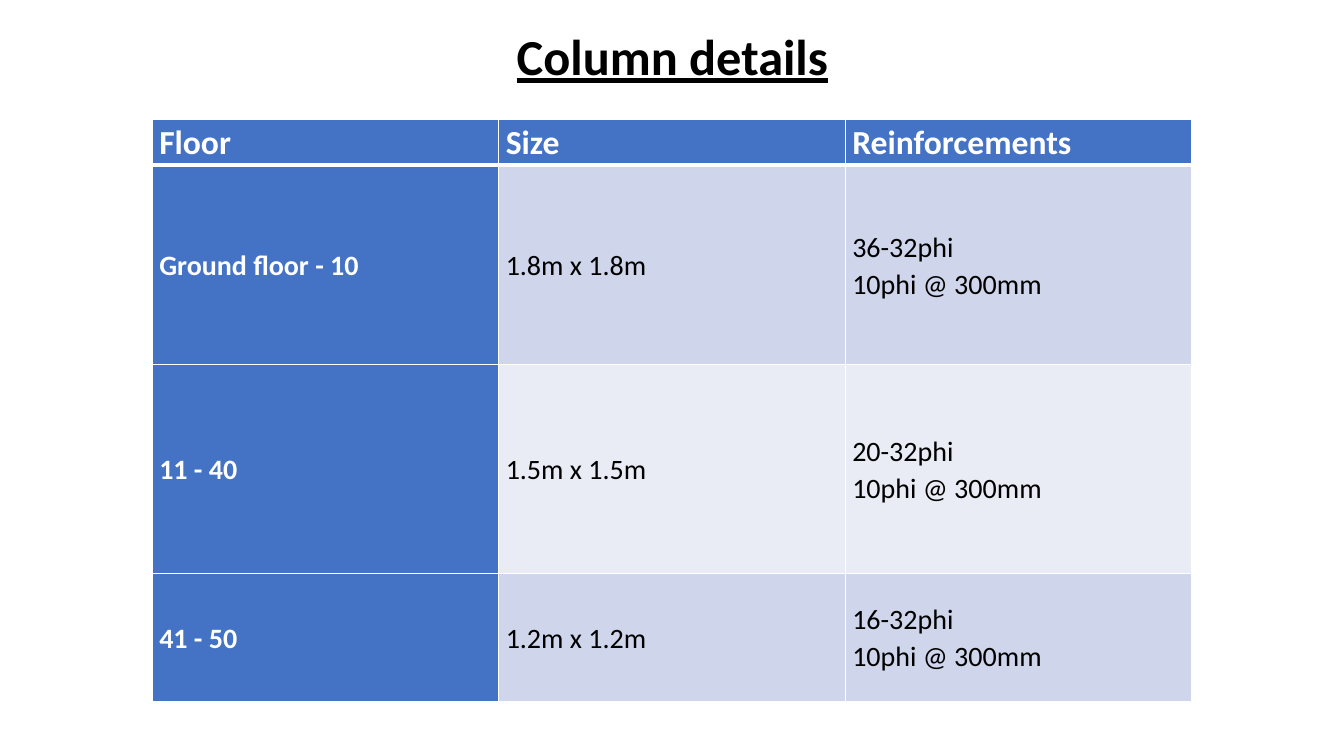
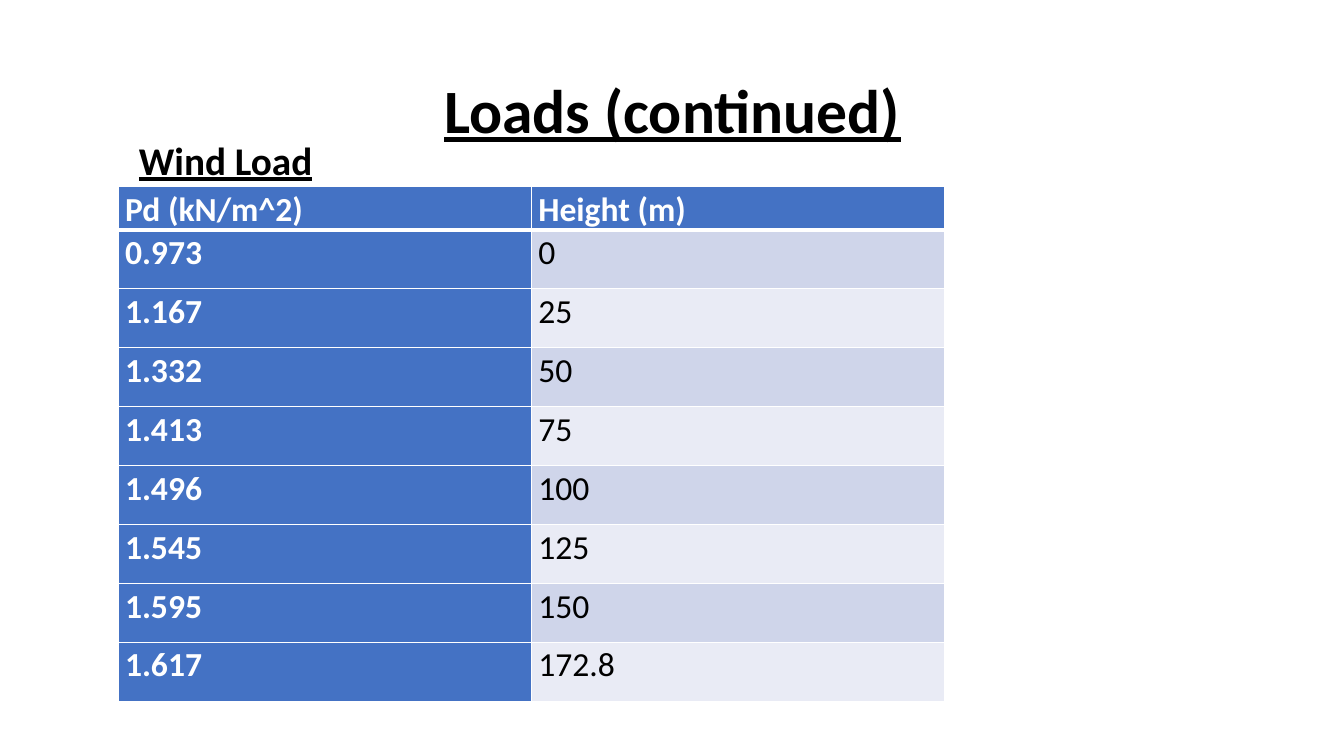
from dataclasses import dataclass

from lxml.etree import SubElement
from pptx import Presentation
from pptx.dml.color import RGBColor
from pptx.enum.text import MSO_ANCHOR as Anchor, MSO_AUTO_SIZE as AutoSize, PP_ALIGN as Align
from pptx.oxml.ns import qn
from pptx.slide import Slide
from pptx.table import _Cell as Cell
from pptx.text.text import _Paragraph as Paragraph
from pptx.util import Inches, Pt

FONT = "Calibri"
COLORS = {
    "accent": "4472C4",
    "band_dark": "CFD5EA",
    "band_light": "E9EBF5",
    "white": "FFFFFF",
    "black": "000000",
}
HEADER_SIZE = 24
THIN, THICK = 1, 3


@dataclass(frozen=True)
class Heading:
    text: str
    left: float
    top: float
    width: float
    height: float
    size: int
    is_title: bool = True


@dataclass(frozen=True)
class Grid:
    left: float
    top: float
    width: float
    row_heights: list[float]
    rows: list[tuple[str, ...]]
    body_size: int
    anchor: Anchor


@dataclass(frozen=True)
class Page:
    headings: list[Heading]
    grid: Grid


PAGES = [
    Page(
        [Heading("Column details", 0.92, 0.02, 11.5, 1.14, 36)],
        Grid(
            1.51, 1.18, 10.31, [0.46, 1.98, 2.07, 1.27],
            [
                ("Floor", "Size", "Reinforcements"),
                ("Ground floor - 10", "1.8m x 1.8m", "36-32phi\n10phi @ 300mm"),
                ("11 - 40", "1.5m x 1.5m", "20-32phi\n10phi @ 300mm"),
                ("41 - 50", "1.2m x 1.2m", "16-32phi\n10phi @ 300mm"),
            ],
            20, Anchor.MIDDLE,
        ),
    ),
    Page(
        [
            Heading("Loads (continued)", 0.92, 0.4, 11.5, 1.45, 44),
            Heading("Wind Load", 1.28, 1.3, 1.95, 0.57, 28, is_title=False),
        ],
        Grid(
            1.17, 1.85, 8.2, [0.42] + [0.585] * 8,
            [
                ("Pd (kN/m^2)", "Height (m)"),
                ("0.973", "0"),
                ("1.167", "25"),
                ("1.332", "50"),
                ("1.413", "75"),
                ("1.496", "100"),
                ("1.545", "125"),
                ("1.595", "150"),
                ("1.617", "172.8"),
            ],
            24, Anchor.TOP,
        ),
    ),
]


def set_font(paragraph: Paragraph, size: int, color: str, bold: bool) -> None:
    font = paragraph.font
    font.name, font.size, font.bold = FONT, Pt(size), bold
    font.color.rgb = RGBColor.from_string(COLORS[color])


def add_heading(slide: Slide, heading: Heading) -> None:
    box = slide.shapes.add_textbox(
        Inches(heading.left), Inches(heading.top), Inches(heading.width), Inches(heading.height)
    )
    frame = box.text_frame
    paragraph = frame.paragraphs[0]
    paragraph.text = heading.text
    set_font(paragraph, heading.size, "black", bold=True)
    paragraph.font.underline = True
    frame.word_wrap = heading.is_title
    if heading.is_title:
        frame.vertical_anchor = Anchor.MIDDLE
        paragraph.alignment = Align.CENTER
        paragraph.line_spacing = 0.9
    else:
        frame.auto_size = AutoSize.SHAPE_TO_FIT_TEXT


def add_borders(cell: Cell, top: int, bottom: int) -> None:
    """Draw white cell borders; top and bottom are widths in points."""
    properties = cell._tc.get_or_add_tcPr()
    for side, width in (("L", THIN), ("R", THIN), ("T", top), ("B", bottom)):
        line = SubElement(properties, qn(f"a:ln{side}"), w=str(Pt(width)))
        fill = SubElement(line, qn("a:solidFill"))
        SubElement(fill, qn("a:srgbClr"), val=COLORS["white"])


def fill_cell(cell: Cell, text: str, row: int, column: int, grid: Grid) -> None:
    is_header = row == 0
    is_accent = is_header or column == 0
    cell.margin_left = cell.margin_right = Inches(0.07)
    cell.margin_top = cell.margin_bottom = 0
    cell.vertical_anchor = grid.anchor

    paragraph = cell.text_frame.paragraphs[0]
    paragraph.text = text
    paragraph.line_spacing = 1.07
    paragraph.space_after = Pt(8)
    set_font(
        paragraph,
        HEADER_SIZE if is_header else grid.body_size,
        "white" if is_accent else "black",
        bold=is_accent,
    )

    add_borders(cell, THICK if row == 1 else THIN, THICK if is_header else THIN)
    band = "band_dark" if row % 2 else "band_light"
    cell.fill.solid()
    cell.fill.fore_color.rgb = RGBColor.from_string(COLORS["accent" if is_accent else band])


def add_grid(slide: Slide, grid: Grid) -> None:
    column_count = len(grid.rows[0])
    table = slide.shapes.add_table(
        len(grid.rows), column_count,
        Inches(grid.left), Inches(grid.top), Inches(grid.width), Inches(sum(grid.row_heights)),
    ).table
    table.first_col = True
    for column in table.columns:
        column.width = Inches(grid.width / column_count)
    for row, (height, texts) in enumerate(zip(grid.row_heights, grid.rows)):
        table.rows[row].height = Inches(height)
        for column, text in enumerate(texts):
            fill_cell(table.cell(row, column), text, row, column, grid)


def main() -> None:
    presentation = Presentation()
    presentation.slide_width, presentation.slide_height = Inches(13.33), Inches(7.5)
    blank = presentation.slide_layouts[6]
    for page in PAGES:
        slide = presentation.slides.add_slide(blank)
        for heading in page.headings:
            add_heading(slide, heading)
        add_grid(slide, page.grid)
    presentation.save("out.pptx")


if __name__ == "__main__":
    main()
